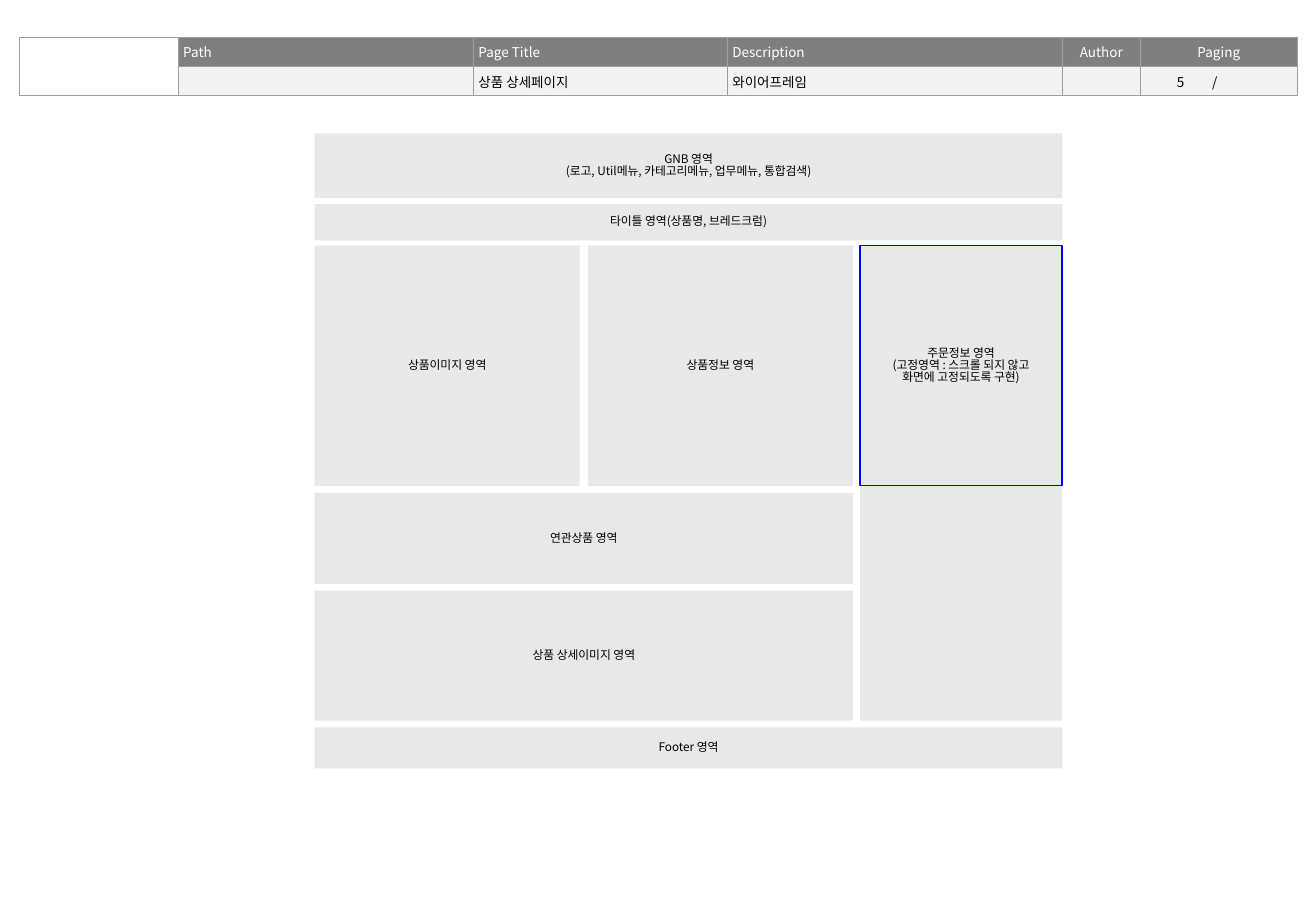
"""Build the wireframe page of a product detail screen."""
from lxml import etree
from pptx import Presentation
from pptx import util as u
from pptx.dml import color
from pptx.enum import shapes, text
from pptx.oxml import ns

LEFT, CENTER, RIGHT = text.PP_ALIGN.LEFT, text.PP_ALIGN.CENTER, text.PP_ALIGN.RIGHT


def rgb(value):
    return color.RGBColor.from_string(value)


def apply(target, formats):
    for name, value in formats.items():
        setattr(target, name, value)


class Wireframe:
    font = "Noto Sans CJK KR"
    area, head, body, border, focus = "E8E8E8", "7F7F7F", "F2F2F2", "9E9E9E", "0000FF"

    def __init__(self, deck):
        self.page = deck.slides.add_slide(deck.slide_layouts[6])

    def label(self, box, lines, size, ink, align, **formats):
        box.text = "\n".join(lines)
        for para in box.paragraphs:
            apply(para, {"alignment": align, **formats})
            for span in para.runs:
                apply(span.font, {"size": u.Pt(size), "name": self.font, "bold": False})
                span.font.color.rgb = rgb(ink)
                etree.SubElement(span.font._element, ns.qn("a:ea"), typeface=self.font)
            if not para.runs:
                etree.SubElement(para._p, ns.qn("a:endParaRPr"), sz=str(size * 100))

    def block(self, left, top, width, height, *lines, outline=None):
        shape = self.page.shapes.add_shape(
            shapes.MSO_SHAPE.RECTANGLE, *map(u.Cm, (left, top, width, height)))
        shape.shadow.inherit = False
        shape.fill.solid()
        shape.fill.fore_color.rgb = rgb(self.area)
        if outline:
            shape.line.color.rgb = rgb(outline)
            shape.line.width = u.Pt(0.75)
        else:
            shape.line.fill.background()
        if lines:
            apply(shape.text_frame, {
                "word_wrap": True, "vertical_anchor": text.MSO_ANCHOR.MIDDLE,
                "margin_left": u.Cm(0.4), "margin_right": u.Cm(0.4)})
            self.label(shape.text_frame, lines, 7, "000000", CENTER, line_spacing=0.85)

    def edges(self, cell, sides):
        for side in "LRTB":
            line = etree.SubElement(
                cell._tc.get_or_add_tcPr(), ns.qn(f"a:ln{side}"), w=str(u.Pt(0.75)))
            if side in sides:
                fill = etree.SubElement(line, ns.qn("a:solidFill"))
                etree.SubElement(fill, ns.qn("a:srgbClr"), val=self.border)
            else:
                etree.SubElement(line, ns.qn("a:noFill"))

    def cell(self, cell, words, ink, fill, align, sides="LRTB"):
        apply(cell, {"vertical_anchor": text.MSO_ANCHOR.MIDDLE,
                     **{f"margin_{side}": u.Cm(0.1)
                        for side in ("left", "right", "top", "bottom")}})
        self.edges(cell, sides)
        if fill:
            cell.fill.solid()
            cell.fill.fore_color.rgb = rgb(fill)
        else:
            cell.fill.background()
        self.label(cell.text_frame, [words], 8, ink, align)

    def header(self, left, top, widths, height, titles, values):
        table = self.page.shapes.add_table(
            2, len(widths), u.Cm(left), u.Cm(top), u.Cm(sum(widths)), u.Cm(2 * height)).table
        apply(table, {"first_row": False, "horz_banding": False})
        for column, width in zip(table.columns, widths):
            column.width = u.Cm(width)
        for row in table.rows:
            row.height = u.Cm(height)
        aligns = [LEFT] * 4 + [CENTER] * 4
        value_aligns = aligns[:5] + [RIGHT, CENTER, CENTER]
        value_sides = ["LRTB"] * 5 + ["LTB", "TB", "RTB"]
        for index, title in enumerate(titles):
            self.cell(table.cell(0, index), title, "FFFFFF",
                      self.head if index else None, aligns[index])
            self.cell(table.cell(1, index), values[index], "000000",
                      self.body if index else None, value_aligns[index], value_sides[index])
        table.cell(0, 0).merge(table.cell(1, 0))
        table.cell(0, 5).merge(table.cell(0, 7))


def main():
    deck = Presentation()
    apply(deck, {"slide_width": u.Cm(27.51), "slide_height": u.Cm(19.05)})
    frame = Wireframe(deck)
    frame.header(
        0.4, 0.78, [3.33, 6.17, 5.31, 7, 1.63, 1.02, 1.07, 1.19], 0.61,
        ["", "Path", "Page Title", "Description", "Author", "Paging", "", ""],
        ["", "", "상품 상세페이지", "와이어프레임", "", "5", "/", ""])

    left, middle, right = 6.58, 12.29, 17.98
    full, wide, half, side = 15.63, 11.25, 5.54, 4.22
    top, tall = 5.13, 5.03
    frame.block(left, 2.79, full, 1.35,
                "GNB 영역", "(로고, Util메뉴, 카테고리메뉴, 업무메뉴, 통합검색)")
    frame.block(left, 4.27, full, 0.76, "타이틀 영역(상품명, 브레드크럼)")
    frame.block(left, top, half, tall, "상품이미지 영역")
    frame.block(middle, top, half, tall, "상품정보 영역")
    frame.block(left, 10.31, wide, 1.9, "연관상품 영역")
    frame.block(left, 12.35, wide, 2.72, "상품 상세이미지 영역")
    frame.block(left, 15.21, full, 0.86, "Footer 영역")
    frame.block(right, top + tall, side, 4.91)
    frame.block(right, top, side, tall, "주문정보 영역",
                "(고정영역 : 스크롤 되지 않고 화면에 고정되도록 구현)", outline=frame.focus)
    deck.save("out.pptx")


if __name__ == "__main__":
    main()
